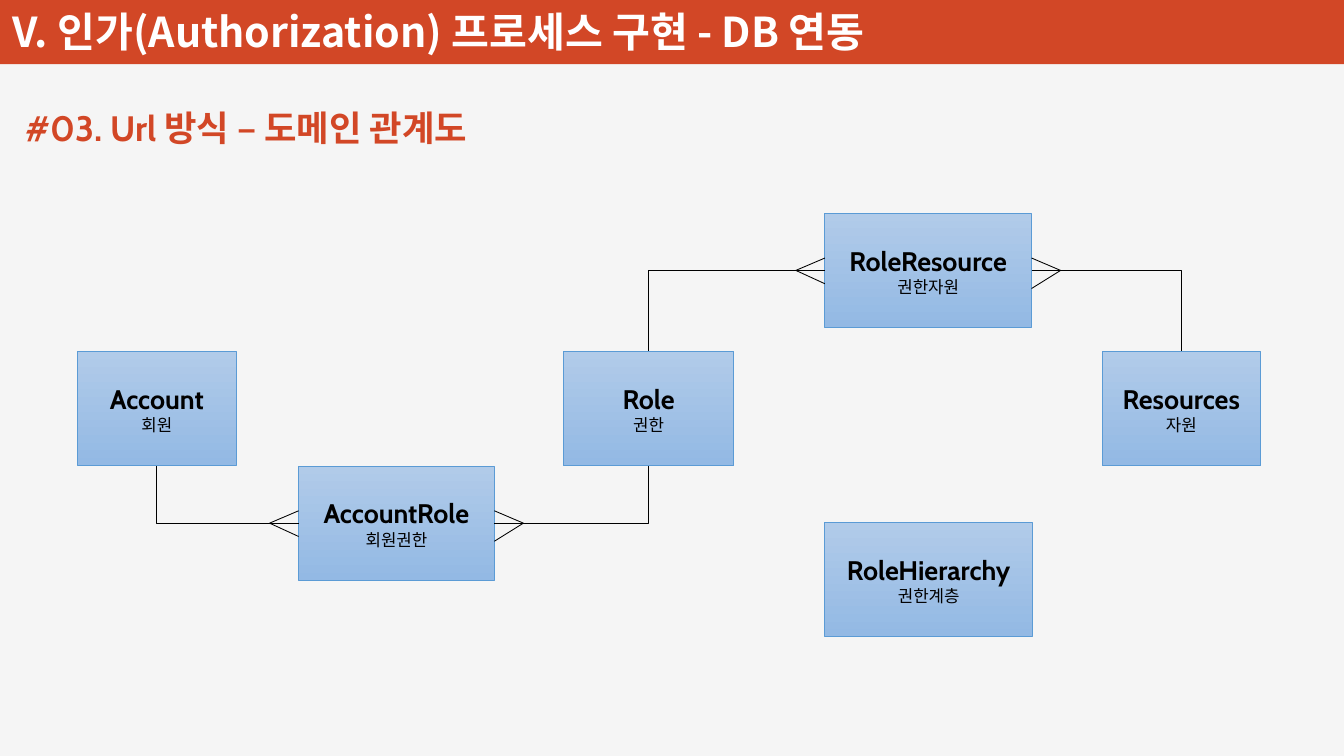
from dataclasses import dataclass

from lxml import etree
from pptx import Presentation
from pptx.dml.color import RGBColor
from pptx.enum.shapes import MSO_CONNECTOR, MSO_SHAPE
from pptx.enum.text import MSO_ANCHOR, PP_ALIGN
from pptx.oxml.ns import qn
from pptx.shapes.autoshape import Shape
from pptx.shapes.connector import Connector
from pptx.shapes.shapetree import SlideShapes
from pptx.text.text import TextFrame
from pptx.util import Cm, Pt

RECT = MSO_SHAPE.RECTANGLE
LINE, ELBOW = MSO_CONNECTOR.STRAIGHT, MSO_CONNECTOR.ELBOW
MIDDLE, BOTTOM, TOP = MSO_ANCHOR.MIDDLE, MSO_ANCHOR.BOTTOM, MSO_ANCHOR.TOP
LEFT, CENTER = PP_ALIGN.LEFT, PP_ALIGN.CENTER

COLORS = {"page": "F5F5F5", "brand": "D24726", "white": "FFFFFF", "ink": "000000",
          "light": "B1CBE9", "deep": "93B9E4", "edge": "5B9BD5"}
LATIN, KOREAN = "Cabin", "Noto Sans CJK KR"
STYLES = {
    "title": ({"size": Pt(24.5), "name": KOREAN, "bold": True}, "white"),
    "topic": ({"size": Pt(21), "name": LATIN, "bold": True}, "brand"),
    "name": ({"size": Pt(16), "name": LATIN, "bold": True}, "ink"),
    "label": ({"size": Pt(10), "name": LATIN, "bold": False}, "ink"),
}

WIDTH, HEIGHT = 28.22, 15.88
BOX_H = 2.4
FOOT = 0.61  # length of a crow's foot
RISE = 0.26
# Connection sites of a rectangle
SITES = {"top": 0, "left": 1, "bottom": 2, "right": 3}


@dataclass
class Entity:
    name: str
    label: str
    x: float
    y: float
    width: float


@dataclass
class Link:
    many: str
    side: str
    one: str
    end: str


ENTITIES = [
    Entity("Account", "회원", 1.63, 7.38, 3.33),
    Entity("Role", "권한", 11.83, 7.38, 3.58),
    Entity("Resources", "자원", 23.14, 7.38, 3.33),
    Entity("RoleHierarchy", "권한계층", 17.32, 10.98, 4.36),
    Entity("AccountRole", "회원권한", 6.27, 9.79, 4.11),
    Entity("RoleResource", "권한자원", 17.32, 4.48, 4.34),
]
LINKS = [
    Link("AccountRole", "left", "Account", "bottom"),
    Link("AccountRole", "right", "Role", "bottom"),
    Link("RoleResource", "left", "Role", "top"),
    Link("RoleResource", "right", "Resources", "top"),
]
DROPS = {"left": 0.28, "right": 0.38}


def color(key: str) -> RGBColor:
    return RGBColor.from_string(COLORS[key])


def write(frame: TextFrame, rows: list[tuple[str, str]], align: PP_ALIGN) -> None:
    for i, (text, style) in enumerate(rows):
        par = frame.paragraphs[0] if i == 0 else frame.add_paragraph()
        par.alignment = align
        run = par.add_run()
        run.text = text
        values, ink = STYLES[style]
        for key, value in values.items():
            setattr(run.font, key, value)
        run.font.color.rgb = color(ink)
        latin = run.font._element.find(qn("a:latin"))
        east = etree.Element(qn("a:ea"), typeface=KOREAN)
        latin.addnext(east)


def add_text(shapes: SlideShapes, at: tuple[float, ...], text: str, style: str,
             anchor: MSO_ANCHOR, wrap: bool) -> None:
    frame = shapes.add_textbox(*map(Cm, at)).text_frame
    frame.word_wrap = wrap
    frame.vertical_anchor = anchor
    write(frame, [(text, style)], LEFT)


def add_box(shapes: SlideShapes, item: Entity) -> Shape:
    box = shapes.add_shape(RECT, Cm(item.x), Cm(item.y), Cm(item.width), Cm(BOX_H))
    box.shadow.inherit = False
    box.fill.gradient()
    box.fill.gradient_angle = 270
    for stop, key in zip(box.fill.gradient_stops, ("light", "deep")):
        stop.color.rgb = color(key)
    box.line.color.rgb = color("edge")
    box.line.width = Pt(0.5)
    box.text_frame.vertical_anchor = MIDDLE
    write(box.text_frame, [(item.name, "name"), (item.label, "label")], CENTER)
    return box


def add_line(shapes: SlideShapes, kind: MSO_CONNECTOR, *ends: int) -> Connector:
    line = shapes.add_connector(kind, *ends)
    line.line.color.rgb = color("ink")
    line.line.width = Pt(0.5)
    etree.SubElement(line._element.spPr, qn("a:effectLst"))
    return line


def add_link(shapes: SlideShapes, link: Link, boxes: dict[str, Shape]) -> None:
    many, one = boxes[link.many], boxes[link.one]
    bend = add_line(shapes, ELBOW, 0, 0, 0, 0)
    bend.begin_connect(many, SITES[link.side])
    bend.end_connect(one, SITES[link.end])
    # One corner: out from the side, then up or down
    bend._element.spPr.find(qn("a:prstGeom")).set("prst", "bentConnector2")

    # Crow's foot at the "many" end
    x, y = bend.begin_x, bend.begin_y
    tip = x + Cm(FOOT if link.side == "right" else -FOOT)
    for shift in (-RISE, DROPS[link.side]):
        add_line(shapes, LINE, tip, y, x, y + Cm(shift))


def main() -> None:
    deck = Presentation()
    deck.slide_width, deck.slide_height = Cm(WIDTH), Cm(HEIGHT)
    slide = deck.slides.add_slide(deck.slide_layouts[6])
    shapes = slide.shapes
    slide.background.fill.solid()
    slide.background.fill.fore_color.rgb = color("page")

    # Header
    band = shapes.add_shape(RECT, 0, 0, Cm(WIDTH), Cm(1.35))
    band.shadow.inherit = False
    band.fill.solid()
    band.fill.fore_color.rgb = color("brand")
    band.line.fill.background()
    add_text(shapes, (0.02, -0.25, 20.32, 1.55),
             "V. 인가(Authorization) 프로세스 구현 - DB 연동", "title", BOTTOM, True)
    add_text(shapes, (0.28, 2.1, 10.46, 1.14),
             "#03. Url 방식 – 도메인 관계도", "topic", TOP, False)

    # Domain diagram
    boxes = {item.name: add_box(shapes, item) for item in ENTITIES}
    for link in LINKS:
        add_link(shapes, link, boxes)

    deck.save("out.pptx")


if __name__ == "__main__":
    main()
